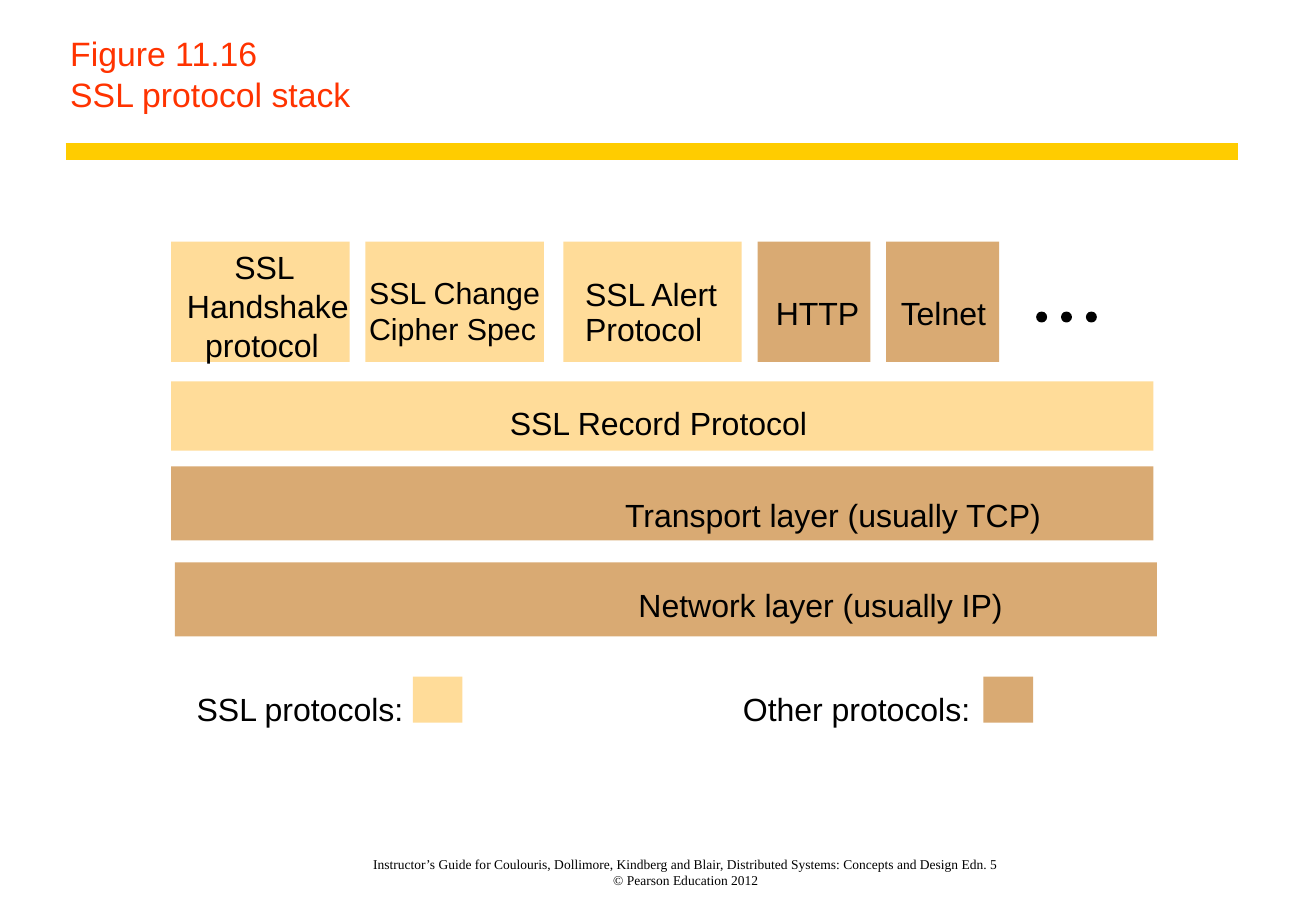
from pptx import Presentation
from pptx.dml.color import RGBColor
from pptx.enum.shapes import MSO_CONNECTOR as Connector, MSO_SHAPE as Shape
from pptx.enum.text import MSO_ANCHOR as Anchor, MSO_AUTO_SIZE as AutoSize, PP_ALIGN as Align
from pptx.oxml.ns import qn
from pptx.util import Inches, Pt
from lxml.etree import SubElement

BLACK = RGBColor(0x00, 0x00, 0x00)
RED = RGBColor(0xFF, 0x33, 0x00)
GOLD = RGBColor(0xFF, 0xCC, 0x00)
SSL_COLOR = RGBColor(0xFF, 0xDC, 0x99)
OTHER_COLOR = RGBColor(0xD9, 0xAA, 0x73)

# Protocols on top of the stack: left, width, colour
TOP_ROW = [
    (1.41, 1.47, SSL_COLOR),
    (3.01, 1.47, SSL_COLOR),
    (4.64, 1.47, SSL_COLOR),
    (6.24, 0.93, OTHER_COLOR),
    (7.3, 0.93, OTHER_COLOR),
]

# Full-width layers: left, top, height, colour
LAYERS = [
    (1.41, 3.14, 0.57, SSL_COLOR),
    (1.41, 3.84, 0.61, OTHER_COLOR),
    (1.44, 4.63, 0.61, OTHER_COLOR),
]

LEGEND_SWATCHES = [(3.4, SSL_COLOR), (8.1, OTHER_COLOR)]

# Labels: left, top, width, text, size
LABELS = [
    (1.93, 2.04, 0.52, "SSL", 19),
    (1.54, 2.36, 1.38, "Handshake", 19),
    (1.69, 2.68, 0.97, "protocol", 19),
    (3.04, 2.26, 1.45, "SSL Change", 18),
    (3.04, 2.55, 1.41, "Cipher Spec", 18),
    (4.82, 2.26, 1.14, "SSL Alert", 19),
    (4.82, 2.55, 1, "Protocol", 19),
    (6.39, 2.42, 0.72, "HTTP", 19),
    (7.42, 2.42, 0.76, "Telnet", 19),
    (4.2, 3.32, 2.5, "SSL Record Protocol", 19),
    (5.15, 4.08, 3.48, "Transport layer (usually TCP)", 19),
    (5.26, 4.82, 3.04, "Network layer (usually IP)", 19),
    (1.62, 5.68, 1.75, "SSL protocols:", 19),
    (6.12, 5.68, 1.93, "Other protocols:", 19),
]


class StackPage:
    """Draws styled elements on one slide."""

    font = "Arial"

    def __init__(self, page):
        self.shapes = page.shapes

    def block(self, left, top, width, height, color, kind=Shape.RECTANGLE):
        shape = self.shapes.add_shape(
            kind, Inches(left), Inches(top), Inches(width), Inches(height))
        shape.shadow.inherit = False
        shape.fill.solid()
        shape.fill.fore_color.rgb = color
        shape.line.fill.background()
        return shape

    def dot(self, left, top, size):
        shape = self.block(left, top, size, size, BLACK, Shape.OVAL)
        shape.line.color.rgb = BLACK
        shape.line.width = Pt(0.75)

    def rule(self, left, right, top, color, weight):
        line = self.shapes.add_connector(
            Connector.STRAIGHT, Inches(left), Inches(top), Inches(right), Inches(top))
        line.line.color.rgb = color
        line.line.width = Pt(weight)
        SubElement(line._element.spPr, qn("a:effectLst"))

    def text(self, left, top, width, height, lines, size, color=BLACK, font=font,
             align=Align.LEFT, anchor=Anchor.TOP, insets=(0, 0, 0, 0), wrap=False):
        box = self.shapes.add_textbox(
            Inches(left), Inches(top), Inches(width), Inches(height))
        frame = box.text_frame
        frame.word_wrap = wrap
        frame.auto_size = AutoSize.NONE if wrap else AutoSize.SHAPE_TO_FIT_TEXT
        frame.vertical_anchor = anchor
        (frame.margin_left, frame.margin_top,
         frame.margin_right, frame.margin_bottom) = map(Inches, insets)
        para = frame.paragraphs[0]
        para.alignment = align
        for index, line in enumerate(lines):
            if index:
                para.add_line_break()
            span = para.add_run()
            span.text = line
            span.font.name = font
            span.font.size = Pt(size)
            span.font.color.rgb = color


def main():
    deck = Presentation()
    deck.slide_width, deck.slide_height = Inches(10.84), Inches(7.5)
    page = StackPage(deck.slides.add_slide(deck.slide_layouts[6]))

    page.text(0.48, 0, 9.72, 1, ["Figure 11.16", "SSL protocol stack"], 20, RED,
              anchor=Anchor.BOTTOM, insets=(0.1, 0.06, 0.14, 0.06), wrap=True)
    page.rule(0.54, 10.2, 1.25, GOLD, 10)

    for left, width, color in TOP_ROW:
        page.block(left, 1.99, width, 0.99, color)
    for left, top, height, color in LAYERS:
        page.block(left, top, 8.09, height, color)
    for left, color in LEGEND_SWATCHES:
        page.block(left, 5.57, 0.41, 0.38, color)
    for left, top, width, label, size in LABELS:
        page.text(left, top, width, 0.32, [label], size)
    for index in range(3):
        page.dot(8.54 + index * 0.205, 2.57, 0.08)

    page.text(2.35, 6.92, 6.6, 0.39,
              ["Instructor’s Guide for Coulouris, Dollimore, Kindberg and Blair, "
               "Distributed Systems: Concepts and Design Edn. 5",
               "© Pearson Education 2012"],
              8, font="Times New Roman", align=Align.CENTER, anchor=Anchor.BOTTOM,
              insets=(0.04, 0, 0.04, 0), wrap=True)

    deck.save("out.pptx")


if __name__ == "__main__":
    main()
